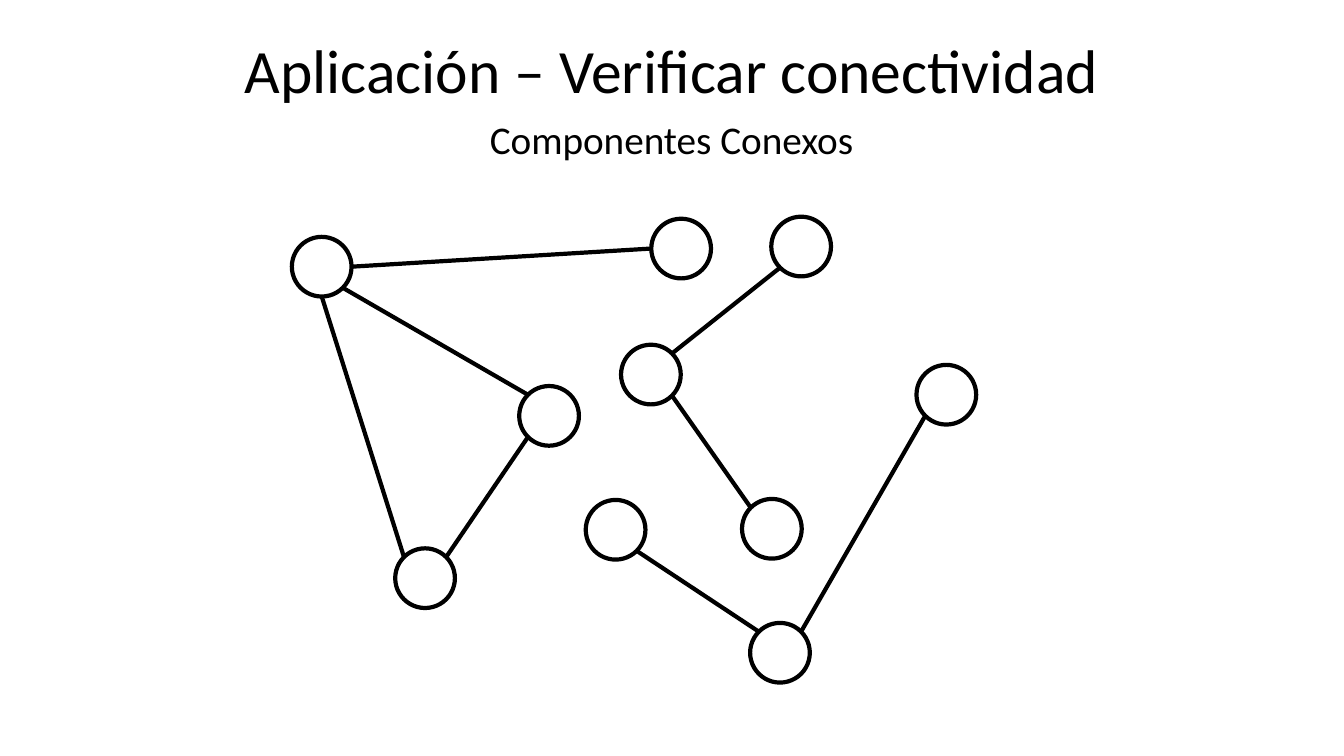
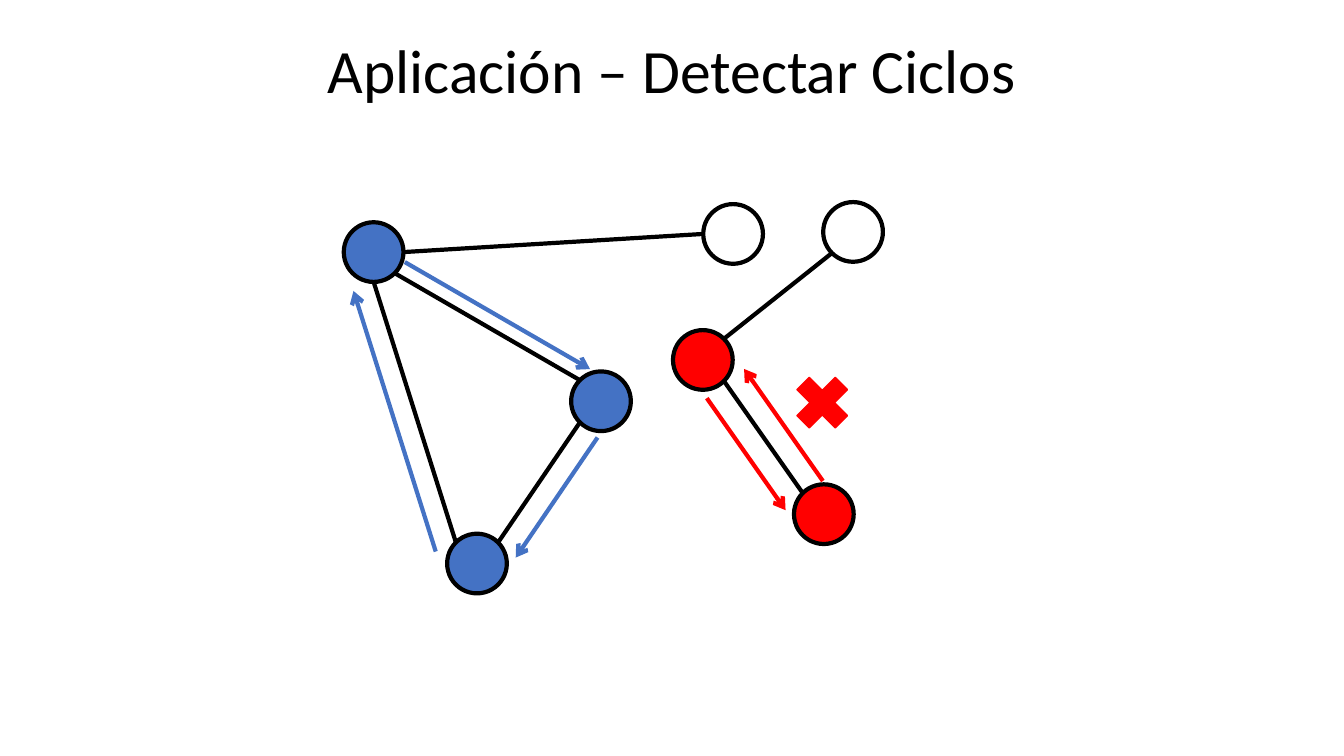
from dataclasses import dataclass, field
from math import sqrt
from typing import NamedTuple, Optional

from lxml import etree
from pptx import Presentation
from pptx.dml.color import RGBColor
from pptx.enum.shapes import MSO_CONNECTOR, MSO_SHAPE
from pptx.enum.text import MSO_ANCHOR, MSO_AUTO_SIZE, PP_ALIGN
from pptx.oxml.ns import qn
from pptx.presentation import Presentation as Deck
from pptx.shapes.autoshape import Shape
from pptx.slide import Slide
from pptx.text.text import TextFrame
from pptx.util import Inches, Length, Pt

STRAIGHT = MSO_CONNECTOR.STRAIGHT
CIRCLE = MSO_SHAPE.OVAL
CROSS = MSO_SHAPE.MATH_MULTIPLY
MIDDLE = MSO_ANCHOR.MIDDLE
FIXED_SIZE = MSO_AUTO_SIZE.NONE
GROW = MSO_AUTO_SIZE.SHAPE_TO_FIT_TEXT
CENTER = PP_ALIGN.CENTER
TITLE_ONLY = 5
COLUMNS, ROWS = 133.3, 75
NODE_SIZE = 5.92
DIAGONAL = 1 / sqrt(2)


@dataclass(frozen=True)
class Theme:
    """Colours, font and sizes shared by the slides."""
    ink: RGBColor = RGBColor(0, 0, 0)
    cycle: RGBColor = RGBColor(0x44, 0x72, 0xC4)
    no_cycle: RGBColor = RGBColor(0xFF, 0, 0)
    font: str = "Calibri"
    title: Length = Pt(44)
    subtitle: Length = Pt(28)
    stroke: Length = Pt(3)
    thin: Length = Pt(1)


THEME = Theme()


class Point(NamedTuple):
    """A place on the grid, in columns and rows."""
    col: float
    row: float

    def moved(self, by: "Point") -> "Point":
        """Return this place shifted by an offset."""
        return Point(self.col + by.col, self.row + by.row)


class Box(NamedTuple):
    """A rectangle on the grid, in columns and rows."""
    col: float
    row: float
    width: float
    height: float


class Edge(NamedTuple):
    """Two nodes and the side of each where the edge ends."""
    start: str
    start_side: str
    end: str
    end_side: str


class Step(NamedTuple):
    """A traversal arrow drawn beside an edge."""
    edge: Edge
    offset: Point
    color: RGBColor


@dataclass(frozen=True)
class Graph:
    """Node corners, edges, fills and traversal steps."""
    nodes: dict[str, Point]
    edges: list[Edge]
    fills: dict[str, RGBColor] = field(default_factory=dict)
    steps: list[Step] = field(default_factory=list)


SIDES = {
    "right": Point(1, 0),
    "left": Point(-1, 0),
    "bottom": Point(0, 1),
    "top_left": Point(-DIAGONAL, -DIAGONAL),
    "top_right": Point(DIAGONAL, -DIAGONAL),
    "bottom_left": Point(-DIAGONAL, DIAGONAL),
    "bottom_right": Point(DIAGONAL, DIAGONAL),
}

NODES = {
    "A": Point(28.95, 23.5), "B": Point(64.6, 21.7), "C": Point(51.5, 38.3),
    "D": Point(61.6, 34.2), "E": Point(73.6, 49.5), "F": Point(76.5, 21.5),
    "G": Point(39.2, 54.4),
}
EDGES = [
    Edge("A", "right", "B", "left"),
    Edge("F", "bottom_left", "D", "top_right"),
    Edge("C", "bottom_left", "G", "top_right"),
    Edge("A", "bottom_right", "C", "top_left"),
    Edge("G", "top_left", "A", "bottom"),
    Edge("D", "bottom_right", "E", "top_left"),
]
THIRD_NODES = {"H": Point(58.1, 49.6), "I": Point(74.4, 61.8), "J": Point(90.9, 36.2)}
THIRD_EDGES = [
    Edge("H", "bottom_right", "I", "top_left"),
    Edge("I", "top_right", "J", "bottom_left"),
]
CYCLE_SHIFT = Point(5.15, -1.45)
STEPS = [
    Step(EDGES[4], Point(-2, 0.9), THEME.cycle),
    Step(EDGES[3], Point(1, -1.1), THEME.cycle),
    Step(EDGES[2], Point(1.75, 1.5), THEME.cycle),
    Step(EDGES[5], Point(-1.7, 1.7), THEME.no_cycle),
    Step(Edge("E", "top_left", "D", "bottom_right"), Point(2, -1.2), THEME.no_cycle),
]


def units(cells: float) -> Length:
    """Turn grid cells into a slide length."""
    return Inches(cells / 10)


def write(frame: TextFrame, text: str, size: Length) -> None:
    """Put one centred run in a text frame."""
    paragraph = frame.paragraphs[0]
    paragraph.alignment = CENTER
    run = paragraph.add_run()
    run.text = text
    run.font.name = THEME.font
    run.font.size = size
    run.font.color.rgb = THEME.ink


def add_titled_slide(deck: Deck, text: str) -> Slide:
    """Add a slide with its title across the top."""
    slide = deck.slides.add_slide(deck.slide_layouts[TITLE_ONLY])
    title = slide.shapes.title
    title.left, title.top = 0, 0
    title.width, title.height = units(COLUMNS), units(14.5)
    frame = title.text_frame
    frame.auto_size = FIXED_SIZE
    frame.vertical_anchor = MIDDLE
    write(frame, text, THEME.title)
    frame.paragraphs[0].line_spacing = 0.9
    return slide


def add_subtitle(slide: Slide, text: str, box: Box) -> None:
    """Add the line of text under the title."""
    frame = slide.shapes.add_textbox(*map(units, box)).text_frame
    frame.word_wrap = True
    frame.auto_size = GROW
    write(frame, text, THEME.subtitle)


def draw_figure(slide: Slide, kind: int, box: Box, fill: Optional[RGBColor],
                line: RGBColor, width: Length) -> Shape:
    """Draw an outlined preset figure, filled when a colour is given."""
    figure = slide.shapes.add_shape(kind, *map(units, box))
    figure.shadow.inherit = False
    if fill is None:
        figure.fill.background()
    else:
        figure.fill.solid()
        figure.fill.fore_color.rgb = fill
    figure.line.color.rgb = line
    figure.line.width = width
    return figure


def draw_line(slide: Slide, start: Point, end: Point, color: RGBColor,
              arrow: bool = False) -> None:
    """Draw a straight line, with an arrowhead at its end on request."""
    line = slide.shapes.add_connector(STRAIGHT, *map(units, (*start, *end)))
    line.line.color.rgb = color
    line.line.width = THEME.stroke
    properties = line.element.spPr
    if arrow:
        etree.SubElement(properties.find(qn("a:ln")), qn("a:tailEnd"), type="arrow")
    etree.SubElement(properties, qn("a:effectLst"))


def side_point(corner: Point, side: str) -> Point:
    """Find where a side of a node lies on the grid."""
    radius = NODE_SIZE / 2
    direction = SIDES[side]
    return corner.moved(Point(radius * (1 + direction.col), radius * (1 + direction.row)))


def edge_ends(graph: Graph, edge: Edge) -> tuple[Point, Point]:
    """Find both ends of an edge."""
    return (side_point(graph.nodes[edge.start], edge.start_side),
            side_point(graph.nodes[edge.end], edge.end_side))


def draw_graph(slide: Slide, graph: Graph) -> None:
    """Draw the nodes, the edges and the traversal steps."""
    for name, corner in graph.nodes.items():
        draw_figure(slide, CIRCLE, Box(*corner, NODE_SIZE, NODE_SIZE),
                    graph.fills.get(name), THEME.ink, THEME.stroke)
    for edge in graph.edges:
        draw_line(slide, *edge_ends(graph, edge), THEME.ink)
    for step in graph.steps:
        start, end = (point.moved(step.offset) for point in edge_ends(graph, step.edge))
        draw_line(slide, start, end, step.color, arrow=True)


def add_connectivity_slide(deck: Deck) -> None:
    """Show a graph with three connected components."""
    slide = add_titled_slide(deck, "Aplicación – Verificar conectividad")
    draw_graph(slide, Graph(NODES | THIRD_NODES, EDGES + THIRD_EDGES))
    add_subtitle(slide, "Componentes Conexos", Box(43.7, 10.9, 45.8, 5.7))


def add_cycles_slide(deck: Deck) -> None:
    """Show a cycle and a path that is not one."""
    slide = add_titled_slide(deck, "Aplicación – Detectar Ciclos")
    nodes = {name: corner.moved(CYCLE_SHIFT) for name, corner in NODES.items()}
    fills = dict.fromkeys("ACG", THEME.cycle) | dict.fromkeys("DE", THEME.no_cycle)
    draw_graph(slide, Graph(nodes, EDGES, fills, STEPS))
    draw_figure(slide, CROSS, Box(77.9, 36.3, 7.3, 7.3),
                THEME.no_cycle, THEME.no_cycle, THEME.thin)


def main() -> None:
    """Build and save the presentation."""
    deck = Presentation()
    deck.slide_width, deck.slide_height = units(COLUMNS), units(ROWS)
    add_connectivity_slide(deck)
    add_cycles_slide(deck)
    deck.save("out.pptx")


if __name__ == "__main__":
    main()
